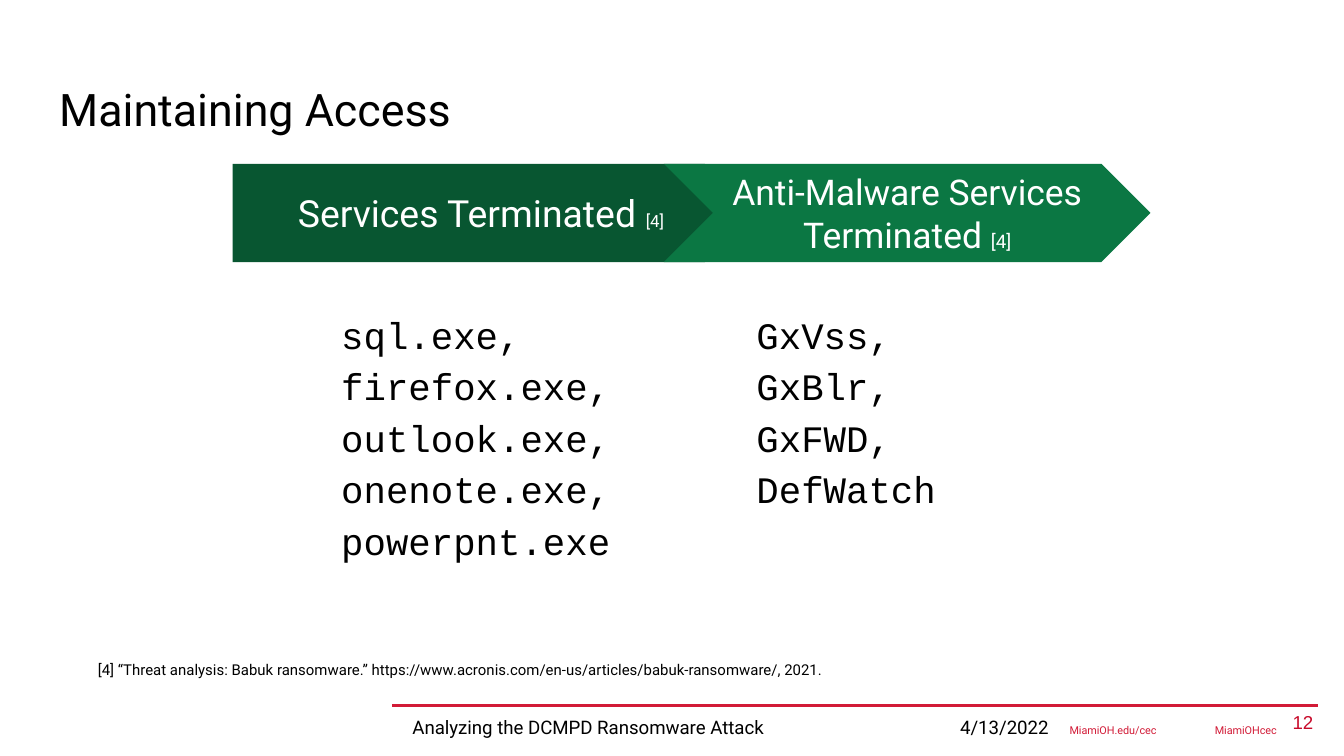
import pptx
import pptx.dml.color
import pptx.enum.shapes
import pptx.enum.text
import pptx.oxml
import pptx.oxml.ns
import pptx.util

Inches = pptx.util.Inches
Pt = pptx.util.Pt
RGBColor = pptx.dml.color.RGBColor
Shape = pptx.enum.shapes.MSO_SHAPE
Align = pptx.enum.text.PP_ALIGN
Anchor = pptx.enum.text.MSO_ANCHOR
AutoSize = pptx.enum.text.MSO_AUTO_SIZE

BLACK = RGBColor(0x00, 0x00, 0x00)
WHITE = RGBColor(0xFF, 0xFF, 0xFF)
RULE_RED = RGBColor(0xD2, 0x1B, 0x37)
NUMBER_RED = RGBColor(0xC8, 0x0A, 0x2A)
DARK_GREEN = RGBColor(0x08, 0x56, 0x31)
GREEN = RGBColor(0x0B, 0x77, 0x43)

STAGES = [
    {
        "heading": [("Services Terminated ", 20), ("[4]", 9)],
        "outline": Shape.PENTAGON,
        "color": DARK_GREEN,
        "left": 1.73,
        "width": 3.88,
        "list_left": 2.44,
        "names": ["sql.exe,", "firefox.exe,", "outlook.exe,", "onenote.exe,", "powerpnt.exe"],
    },
    {
        "heading": [("Anti-Malware Services Terminated ", 19), ("[4]", 10)],
        "outline": Shape.CHEVRON,
        "color": GREEN,
        "left": 4.94,
        "width": 3.62,
        "list_left": 5.53,
        "names": ["GxVss,", "GxBlr,", "GxFWD,", "DefWatch"],
    },
]


def set_attributes(target, values):
    for name, value in values.items():
        setattr(target, name, value)


def format_frame(frame, anchor=Anchor.TOP, inset=0.1, auto_size=AutoSize.NONE):
    set_attributes(frame, {
        "word_wrap": True,
        "auto_size": auto_size,
        "vertical_anchor": anchor,
        "margin_left": Inches(0.1),
        "margin_right": Inches(0.1),
        "margin_top": Inches(inset),
        "margin_bottom": Inches(inset),
    })


def add_run(paragraph, text, size, color=BLACK, font="Roboto"):
    run = paragraph.add_run()
    run.text = text
    set_attributes(run.font, {"name": font, "size": Pt(size)})
    run.font.color.rgb = color
    return run


def add_label(slide, box, text, size=10, color=BLACK, font="Roboto",
              align=Align.LEFT, inset=0.1, auto_size=AutoSize.SHAPE_TO_FIT_TEXT):
    label = slide.shapes.add_textbox(*map(Inches, box))
    format_frame(label.text_frame, inset=inset, auto_size=auto_size)
    paragraph = label.text_frame.paragraphs[0]
    paragraph.alignment = align
    return add_run(paragraph, text, size, color, font)


def add_raised_label(slide, box, text):
    run = add_label(slide, box, text, color=RULE_RED, inset=0.05)
    run.font._element.set("baseline", "30000")


def add_footer_rule(slide):
    rule = slide.shapes.add_connector(
        pptx.enum.shapes.MSO_CONNECTOR.STRAIGHT,
        Inches(2.92), Inches(5.25), Inches(9.81), Inches(5.25))
    rule.line.color.rgb = RULE_RED
    rule.line.width = Pt(2)
    rule._element.spPr.append(pptx.oxml.parse_xml(
        "<a:effectLst %s/>" % pptx.oxml.ns.nsdecls("a")))


def add_title(slide, text):
    title = slide.shapes.title
    set_attributes(title, {
        "left": Inches(0.34),
        "top": Inches(0.49),
        "width": Inches(9.32),
        "height": Inches(0.63),
    })
    format_frame(title.text_frame, Anchor.MIDDLE)
    paragraph = title.text_frame.paragraphs[0]
    paragraph.alignment = Align.LEFT
    add_run(paragraph, text, 24)


def add_stage_arrow(slide, stage):
    arrow = slide.shapes.add_shape(
        stage["outline"], Inches(stage["left"]), Inches(1.22),
        Inches(stage["width"]), Inches(0.73))
    arrow.shadow.inherit = False
    arrow.fill.solid()
    arrow.fill.fore_color.rgb = stage["color"]
    arrow.line.fill.background()
    format_frame(arrow.text_frame, Anchor.MIDDLE)
    paragraph = arrow.text_frame.paragraphs[0]
    paragraph.alignment = Align.CENTER
    for text, size in stage["heading"]:
        add_run(paragraph, text, size, WHITE)


def add_service_list(slide, stage):
    services = slide.shapes.add_textbox(
        Inches(stage["list_left"]), Inches(2.17), Inches(2.45), Inches(2.86))
    frame = services.text_frame
    format_frame(frame)
    for index, name in enumerate(stage["names"]):
        paragraph = frame.add_paragraph() if index else frame.paragraphs[0]
        paragraph.line_spacing = 1.15
        add_run(paragraph, name, 20, font="Courier New")


def main():
    presentation = pptx.Presentation()
    presentation.slide_width = Inches(10)
    presentation.slide_height = Inches(10) * 9 // 16
    slide = presentation.slides.add_slide(presentation.slide_layouts[5])

    add_footer_rule(slide)
    add_raised_label(slide, (7.86, 5.32, 0.94, 0.27), "MiamiOH.edu/cec")
    add_raised_label(slide, (8.94, 5.32, 0.88, 0.27), "MiamiOHcec")
    add_label(slide, (2.97, 5.24, 3.08, 0.37), "Analyzing the DCMPD Ransomware Attack")
    add_label(slide, (6.59, 5.24, 1.31, 0.37), "4/13/2022", align=Align.RIGHT)

    add_title(slide, "Maintaining Access")
    for stage in STAGES:
        add_stage_arrow(slide, stage)
        add_service_list(slide, stage)

    add_label(slide, (9.27, 5.19, 0.6, 0.43), "12", color=NUMBER_RED,
              font="Arial", align=Align.RIGHT, auto_size=AutoSize.NONE)
    add_label(slide, (0.63, 4.85, 7.97, 0.34),
              "[4] “Threat analysis: Babuk ransomware.” "
              "https://www.acronis.com/en-us/articles/babuk-ransomware/, 2021.", size=8)
    presentation.save("out.pptx")


if __name__ == "__main__":
    main()
